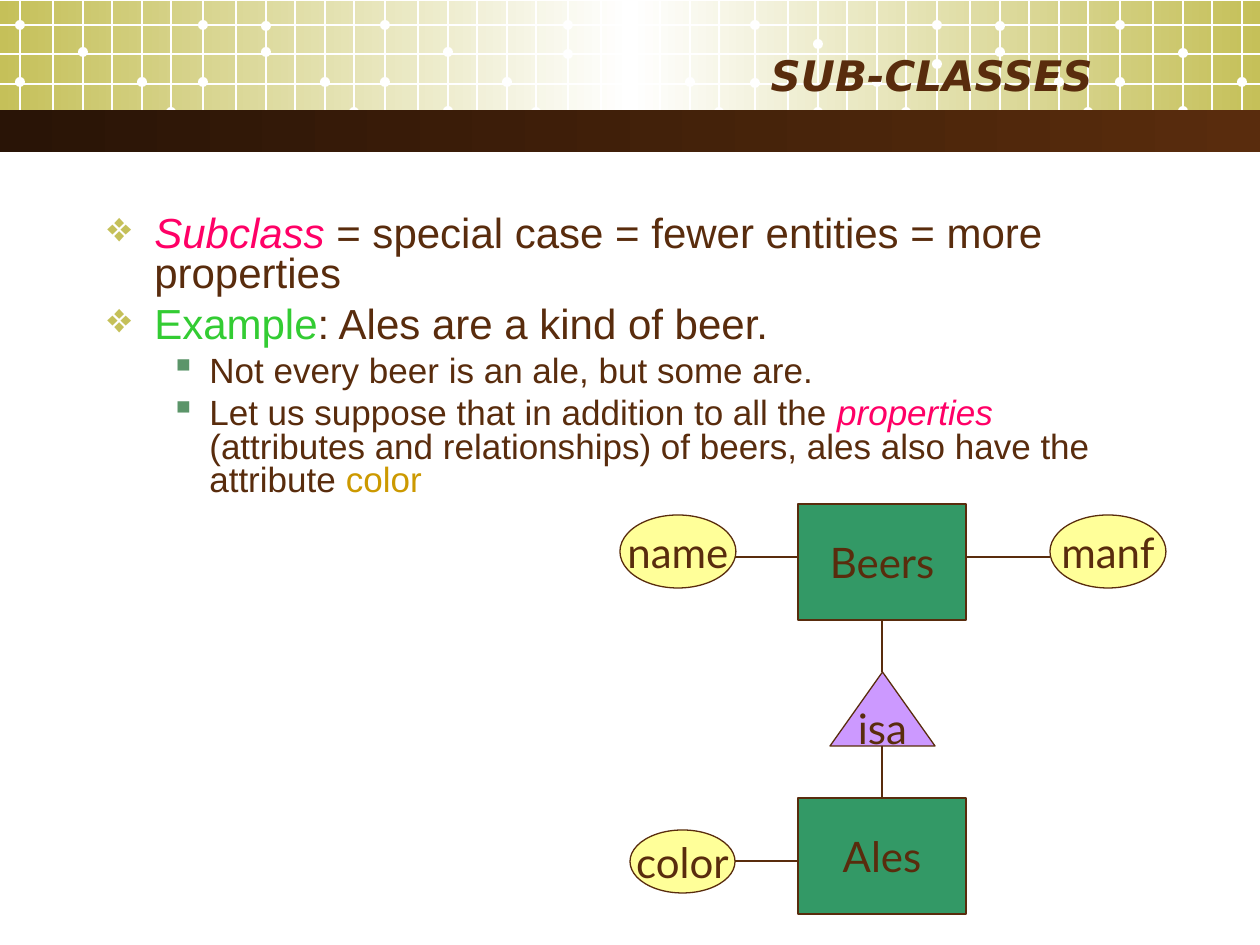
import pptx
import pptx.dml.color
import pptx.enum.shapes
import pptx.enum.text
import pptx.oxml
import pptx.oxml.ns
import pptx.util

RGB = pptx.dml.color.RGBColor
SHAPE = pptx.enum.shapes.MSO_SHAPE
ALIGN = pptx.enum.text.PP_ALIGN
ANCHOR = pptx.enum.text.MSO_ANCHOR

WHITE = RGB(0xFF, 0xFF, 0xFF)
OLIVE = RGB(0xC5, 0xC0, 0x59)
BROWN = RGB(0x59, 0x2C, 0x0D)
DARK_BROWN = RGB(0x29, 0x14, 0x06)
PINK = RGB(0xFF, 0x00, 0x66)
LIME = RGB(0x33, 0xCC, 0x33)
GOLD = RGB(0xCC, 0x99, 0x00)
SAGE = RGB(0x5B, 0x95, 0x69)
GREEN = RGB(0x33, 0x99, 0x66)
VIOLET = RGB(0xCC, 0x99, 0xFF)
YELLOW = RGB(0xFF, 0xFF, 0x99)

PX_PER_INCH = 126
WIDTH, HEIGHT = 1260, 945

# Content: bullets as (level, [(text, colour, italic)])
TITLE = "SUB-CLASSES"
BULLETS = [
    (0, [("Subclass", PINK, True),
         (" = special case = fewer entities = more properties", BROWN, False)]),
    (0, [("Example", LIME, False), (": Ales are a kind of beer.", BROWN, False)]),
    (1, [("Not every beer is an ale, but some are.", BROWN, False)]),
    (1, [("Let us suppose that in addition to all the ", BROWN, False),
         ("properties", PINK, True),
         (" (attributes and relationships) of beers, ales also have the attribute ",
          BROWN, False),
         ("color", GOLD, False)]),
]
# Per level: font size, space before, left margin px, hanging px, mark, mark colour
LEVELS = [(24, 6, 47, 47, "❖", OLIVE), (20, 5, 102, 39, "▪", SAGE)]

# Diagram: label, kind, colour, left, top, width, height
NODES = [
    ("Beers", SHAPE.RECTANGLE, GREEN, 798, 504, 168, 116),
    ("Ales", SHAPE.RECTANGLE, GREEN, 798, 798, 168, 116),
    ("isa", SHAPE.ISOSCELES_TRIANGLE, VIOLET, 830, 672, 105, 74),
    ("name", SHAPE.OVAL, YELLOW, 620, 515, 116, 73),
    ("manf", SHAPE.OVAL, YELLOW, 1050, 515, 116, 73),
    ("color", SHAPE.OVAL, YELLOW, 630, 830, 105, 63),
]
LINKS = [(735, 557, 798, 557), (1050, 557, 966, 557), (882, 672, 882, 620),
         (882, 746, 882, 798), (735, 861, 798, 861)]

# Header grid: tiles of six columns; each tile adds its own three dots
TILE_LEFTS = [20, 203, 385, 568, 755, 937, 1120]
COLUMN_OFFSETS = [0, 33, 63, 92, 122, 151]
ROWS = [25, 54, 84, 112]
GRID_BOTTOM = 139
DOT = 10
SHARED_DOTS = [(0, 25), (4, 82), (5, 112)]
TILE_DOTS = [(82, 52, 115), (82, 52, 26), (82, 52, 111), (54, 53, 25),
             (83, 44, 112), (64, 52, 26), (82, 53, 111)]
TILE_DOT_COLUMNS = (0, 2, 2)


def px(length):
    return pptx.util.Emu(round(length * 914400 / PX_PER_INCH))


def add_box(page, kind, left, top, width, height, color=None, line=None):
    box = page.shapes.add_shape(kind, px(left), px(top), px(width), px(height))
    box.shadow.inherit = False
    if color is not None:
        box.fill.solid()
        box.fill.fore_color.rgb = color
    if line is None:
        box.line.fill.background()
    else:
        box.line.color.rgb = line
        box.line.width = pptx.util.Pt(0.75)
    return box


def add_gradient_band(page, top, height, colors):
    band = add_box(page, SHAPE.RECTANGLE, 0, top, WIDTH, height)
    band.fill.gradient()
    band.fill.gradient_angle = 0
    stops = band.fill._fill._gradFill.find(pptx.oxml.ns.qn("a:gsLst"))
    for stop in list(stops):
        stops.remove(stop)
    for index, color in enumerate(colors):
        position = 100000 * index // (len(colors) - 1)
        stops.append(pptx.oxml.parse_xml(
            f'<a:gs {pptx.oxml.ns.nsdecls("a")} pos="{position}">'
            f'<a:srgbClr val="{color}"/></a:gs>'))


def add_line(page, x1, y1, x2, y2, color):
    line = page.shapes.add_connector(
        pptx.enum.shapes.MSO_CONNECTOR.STRAIGHT, px(x1), px(y1), px(x2), px(y2))
    line.line.color.rgb = color
    line.line.width = pptx.util.Pt(0.75)
    line._element.spPr.append(pptx.oxml.parse_xml(
        f'<a:effectLst {pptx.oxml.ns.nsdecls("a")}/>'))


def style(span, font, size, color, bold=False, italic=False):
    span.font.name = font
    span.font.size = pptx.util.Pt(size)
    span.font.color.rgb = color
    span.font.bold = bold
    span.font.italic = italic


def add_header(page):
    add_gradient_band(page, 1, 129, [OLIVE, WHITE, OLIVE])
    for left, own_rows in zip(TILE_LEFTS, TILE_DOTS):
        for offset in COLUMN_OFFSETS:
            if left + offset < WIDTH:
                add_line(page, left + offset, 0, left + offset, GRID_BOTTOM, WHITE)
        for column, y in SHARED_DOTS + list(zip(TILE_DOT_COLUMNS, own_rows)):
            x = left + COLUMN_OFFSETS[column]
            if x < WIDTH:
                add_box(page, SHAPE.OVAL, x - DOT / 2, y - DOT / 2, DOT, DOT, WHITE)
    for y in ROWS:
        add_line(page, 0, y, WIDTH, y, WHITE)
    add_gradient_band(page, 110, 42, [DARK_BROWN, BROWN])


def add_title(page):
    box = page.shapes.add_textbox(px(34), px(-4), px(1071), px(158))
    frame = box.text_frame
    frame.word_wrap = True
    frame.vertical_anchor = ANCHOR.MIDDLE
    frame.text = TITLE
    para = frame.paragraphs[0]
    para.alignment = ALIGN.RIGHT
    style(para.runs[0], "DejaVu Sans", 24, BROWN, bold=True, italic=True)


def add_bullets(page):
    box = page.shapes.add_textbox(px(95), px(210), px(1071), px(297))
    frame = box.text_frame
    frame.word_wrap = True
    for index, (level, spans) in enumerate(BULLETS):
        size, before, margin, hanging, mark, mark_color = LEVELS[level]
        para = frame.add_paragraph() if index else frame.paragraphs[0]
        para.level = level
        para.line_spacing = 0.8
        para.space_before = pptx.util.Pt(before)
        properties = para._p.get_or_add_pPr()
        properties.set("marL", str(px(margin)))
        properties.set("indent", str(-px(hanging)))
        names = pptx.oxml.ns.nsdecls("a")
        properties.append(pptx.oxml.parse_xml(
            f'<a:buClr {names}><a:srgbClr val="{mark_color}"/></a:buClr>'))
        properties.append(pptx.oxml.parse_xml(f'<a:buChar {names} char="{mark}"/>'))
        for text, color, italic in spans:
            span = para.add_run()
            span.text = text
            style(span, "Arial", size, color, italic=italic)


def add_diagram(page):
    for label, kind, color, *place in NODES:
        box = add_box(page, kind, *place, color, BROWN)
        frame = box.text_frame
        frame.word_wrap = False
        frame.vertical_anchor = ANCHOR.MIDDLE
        frame.text = label
        para = frame.paragraphs[0]
        para.alignment = ALIGN.CENTER
        style(para.runs[0], "Lato", 24, BROWN)
    for link in LINKS:
        add_line(page, *link, BROWN)


def main():
    deck = pptx.Presentation()
    deck.slide_width, deck.slide_height = px(WIDTH), px(HEIGHT)
    page = deck.slides.add_slide(deck.slide_layouts[6])
    add_header(page)
    add_title(page)
    add_bullets(page)
    add_diagram(page)
    deck.save("out.pptx")


if __name__ == "__main__":
    main()
